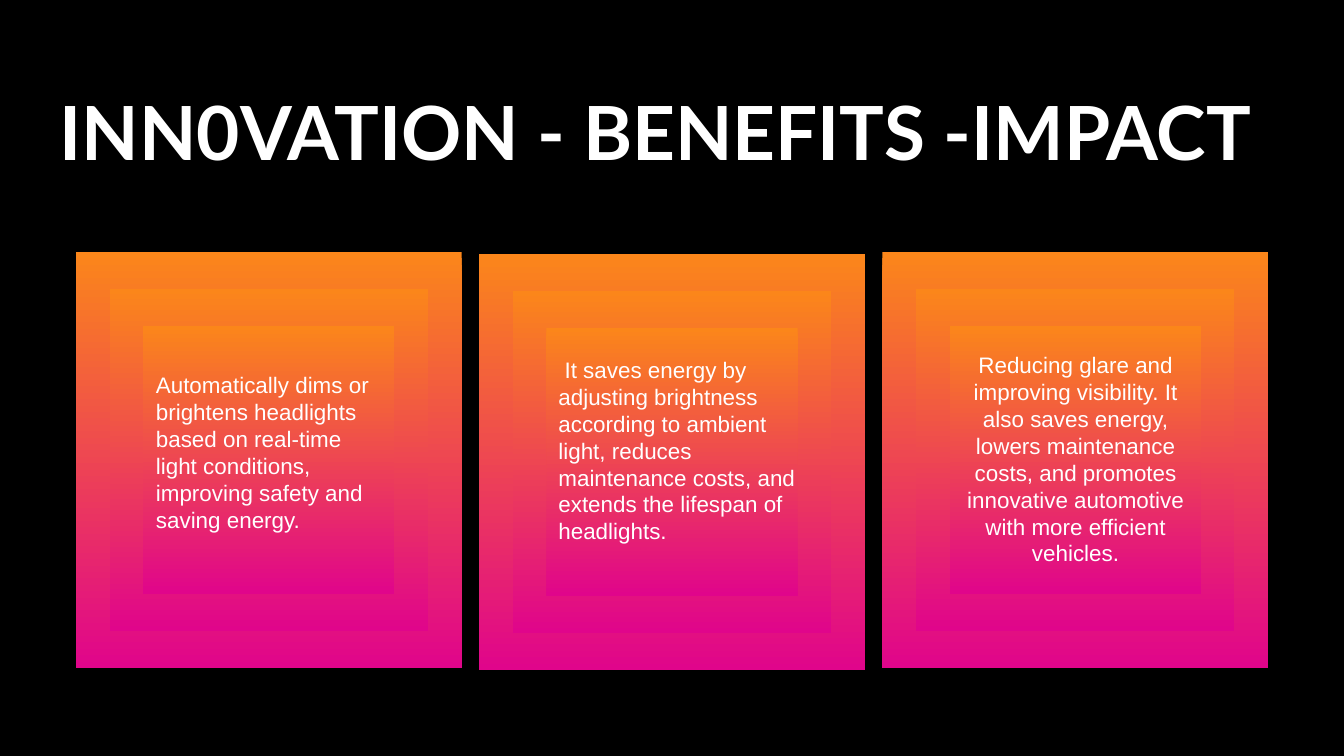
from pptx import Presentation
from pptx.dml.color import RGBColor
from pptx.enum.shapes import MSO_SHAPE
from pptx.enum.text import MSO_ANCHOR, MSO_AUTO_SIZE, PP_ALIGN
from pptx.util import Inches, Pt

BLACK = RGBColor(0x00, 0x00, 0x00)
WHITE = RGBColor(0xFF, 0xFF, 0xFF)
ORANGE = RGBColor(0xFB, 0x86, 0x1A)
MAGENTA = RGBColor(0xE0, 0x05, 0x8B)

SLIDE_WIDTH, SLIDE_HEIGHT = 20, 11.25
CARD_LEFT, CARD_STEP = 1.13, 0.3 * SLIDE_WIDTH
CARD_WIDTH, CARD_HEIGHT = 5.74, 6.19
INSET_X, INSET_Y = 0.5, 0.55
LAYERS = 3
TITLE = "INN0VATION - BENEFITS -IMPACT"
CARDS = [
    (3.75, "Automatically dims or brightens headlights based on real-time light "
     "conditions, improving safety and saving energy.",
     (2.32, 5.53, 3.43, 2.4), PP_ALIGN.LEFT),
    (3.78, " It saves energy by adjusting brightness according to ambient light, "
     "reduces maintenance costs, and extends the lifespan of headlights.",
     (8.31, 5.3, 3.56, 2.8), PP_ALIGN.LEFT),
    (3.75, "Reducing glare and improving visibility. It also saves energy, lowers "
     "maintenance costs, and promotes innovative automotive with more efficient "
     "vehicles.",
     (14.14, 5.23, 3.73, 3.2), PP_ALIGN.CENTER),
]


def write_text(box, text, font_name, size, alignment, bold=False):
    """Fill a box with one white paragraph, without margins, from the top."""
    frame = box.text_frame
    frame.word_wrap = True
    frame.auto_size = MSO_AUTO_SIZE.NONE
    frame.vertical_anchor = MSO_ANCHOR.TOP
    frame.margin_left = frame.margin_right = 0
    frame.margin_top = frame.margin_bottom = 0
    para = frame.paragraphs[0]
    para.text = text
    para.alignment = alignment
    para.line_spacing = Pt(1.2 * size)
    para.font.name = font_name
    para.font.size = Pt(size)
    para.font.bold = bold
    para.font.color.rgb = WHITE


def add_title(page):
    """Place the heading in the title placeholder."""
    title = page.shapes.title
    title.left, title.top = Inches(0.64), Inches(1.28)
    title.width, title.height = Inches(18.24), Inches(2.67)
    write_text(title, TITLE, "Lato", 80, PP_ALIGN.CENTER, bold=True)


def add_gradient_panel(shapes, left, top, width, height):
    """Add a rectangle that fades downwards from orange to magenta."""
    panel = shapes.add_shape(MSO_SHAPE.RECTANGLE, *map(Inches, (left, top, width, height)))
    panel.shadow.inherit = False
    panel.line.fill.background()
    panel.fill.gradient()
    panel.fill.gradient_angle = 270
    for stop, color in zip(panel.fill.gradient_stops, (ORANGE, MAGENTA)):
        stop.color.rgb = color


def add_card(page, left, top):
    """Group nested panels, each inset evenly in the one before."""
    group = page.shapes.add_group_shape()
    for layer in range(LAYERS):
        inset_x, inset_y = layer * INSET_X, layer * INSET_Y
        add_gradient_panel(group.shapes, left + inset_x, top + inset_y,
                           CARD_WIDTH - 2 * inset_x, CARD_HEIGHT - 2 * inset_y)


def main():
    """Build the slide and save the deck."""
    deck = Presentation()
    deck.slide_width, deck.slide_height = Inches(SLIDE_WIDTH), Inches(SLIDE_HEIGHT)
    page = deck.slides.add_slide(deck.slide_layouts[5])
    page.background.fill.solid()
    page.background.fill.fore_color.rgb = BLACK
    add_title(page)
    for column, (top, text, area, alignment) in enumerate(CARDS):
        add_card(page, CARD_LEFT + column * CARD_STEP, top)
        box = page.shapes.add_textbox(*map(Inches, area))
        write_text(box, text, "Arial", 24, alignment)
    deck.save("out.pptx")


if __name__ == "__main__":
    main()
